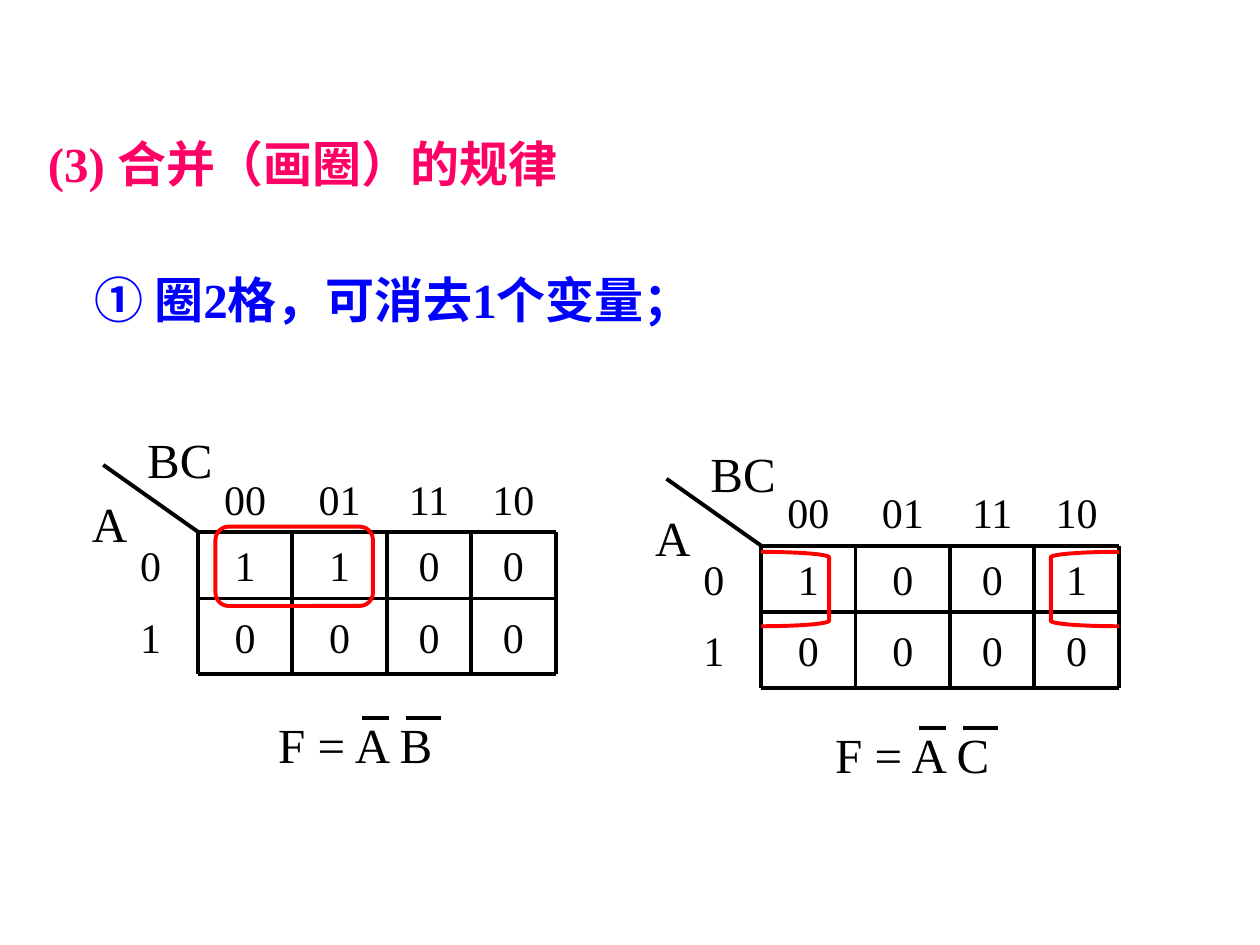
from itertools import accumulate

from lxml import etree
from pptx import Presentation
from pptx import util as u
from pptx.dml.color import RGBColor
from pptx.enum import shapes, text
from pptx.oxml import ns

HUES = {"ink": "000000", "title": "FF0066", "rule": "0000FF", "ring": "FF0000"}
FONT = "Times New Roman"
WIDE = [0.75, 0.75, 0.75, 0.67, 0.67]
HIGH = [0.53, 0.53, 0.6]
CODES = ["00", "01", "11", "10"]


def rgb(hue):
    """Return the named colour."""
    return RGBColor.from_string(HUES[hue])


def write(shape, words, size=28, hue="ink", bold=False, cell=False):
    """Fill a text shape with one formatted run."""
    frame = shape.text_frame
    frame.word_wrap = True
    frame.auto_size = text.MSO_AUTO_SIZE.NONE
    frame.vertical_anchor = text.MSO_ANCHOR.MIDDLE if cell else text.MSO_ANCHOR.TOP
    side, edge = (0.02, 0.02) if cell else (0.1, 0.05)
    frame.margin_left = frame.margin_right = u.Inches(side)
    frame.margin_top = frame.margin_bottom = u.Inches(edge)
    para = frame.paragraphs[0]
    para.alignment = text.PP_ALIGN.CENTER if cell else text.PP_ALIGN.LEFT
    para.line_spacing = 1.0
    para.space_before = u.Pt(0)
    run = para.add_run()
    run.text = words
    run.font.name, run.font.size, run.font.bold = FONT, u.Pt(size), bold
    run.font.color.rgb = rgb(hue)


def label(tree, box, words, **style):
    """Add a text box at left, top, width, height."""
    write(tree.add_textbox(*map(u.Inches, box)), words, **style)


def line(tree, *ends):
    """Draw a black line between two points."""
    link = tree.add_connector(shapes.MSO_CONNECTOR.STRAIGHT, *map(u.Inches, ends))
    link.line.color.rgb = rgb("ink")
    link.line.width = u.Pt(2.25)
    etree.SubElement(link._element.spPr, ns.qn("a:effectLst"))


def ring(tree, kind, box, bend):
    """Draw a red outline around merged cells."""
    loop = tree.add_shape(kind, *map(u.Inches, box))
    loop.adjustments[0] = bend
    loop.shadow.inherit = False
    loop.fill.background()
    loop.line.color.rgb = rgb("ring")
    loop.line.width = u.Pt(2.25)


def karnaugh(slide, left, top, rows):
    """Draw a two-row Karnaugh map with its variable names."""
    tree = slide.shapes.add_group_shape().shapes
    xs = list(accumulate(WIDE, initial=left))
    ys = list(accumulate(HIGH, initial=top))
    grid = [[""] + CODES] + [[str(i), *row] for i, row in enumerate(rows)]
    for y, high, row in zip(ys, HIGH, grid):
        for x, wide, words in zip(xs, WIDE, row):
            if words:
                label(tree, (x, y, wide, high), words, size=24, cell=True)
    line(tree, left, top, xs[1], ys[1])
    for x in xs[1:]:
        line(tree, x, ys[1], x, ys[-1])
    for y in ys[1:]:
        line(tree, xs[1], y, xs[-1], y)
    label(tree, (left - 0.19, top + 0.18, 0.45, 0.57), "A")
    label(tree, (left + 0.25, top - 0.33, 0.75, 0.57), "BC")


def result(slide, left, top, words):
    """Write a product of two negated variables."""
    tree = slide.shapes.add_group_shape().shapes
    label(tree, (left, top, 1.69, 0.57), words)
    for start, end in [(0.76, 0.98), (1.11, 1.39)]:
        line(tree, left + start, top + 0.08, left + end, top + 0.08)


def main():
    """Build the slide and save it."""
    deck = Presentation()
    deck.slide_width, deck.slide_height = u.Inches(10), u.Inches(7.5)
    slide = deck.slides.add_slide(deck.slide_layouts[5])
    tree = slide.shapes
    title = tree.title
    title.left, title.top = u.Inches(0.28), u.Inches(1.01)
    title.width, title.height = u.Inches(4.99), u.Inches(0.57)
    write(title, "(3) 合并（画圈）的规律", hue="title", bold=True)
    label(tree, (0.65, 2.09, 8.28, 0.57), "① 圈2格，可消去1个变量；", hue="rule", bold=True)

    kind = shapes.MSO_SHAPE
    karnaugh(slide, 0.82, 3.69, ["1100", "0000"])
    ring(tree, kind.ROUNDED_RECTANGLE, (1.71, 4.18, 1.25, 0.63), 0.167)
    result(slide, 2.11, 5.62, "F = A B")

    karnaugh(slide, 5.29, 3.8, ["1001", "0000"])
    for form, left in [(kind.RIGHT_BRACKET, 6.04), (kind.LEFT_BRACKET, 8.34)]:
        ring(tree, form, (left, 4.38, 0.54, 0.59), 0.08)
    result(slide, 6.53, 5.7, "F = A C")
    deck.save("out.pptx")


if __name__ == "__main__":
    main()
